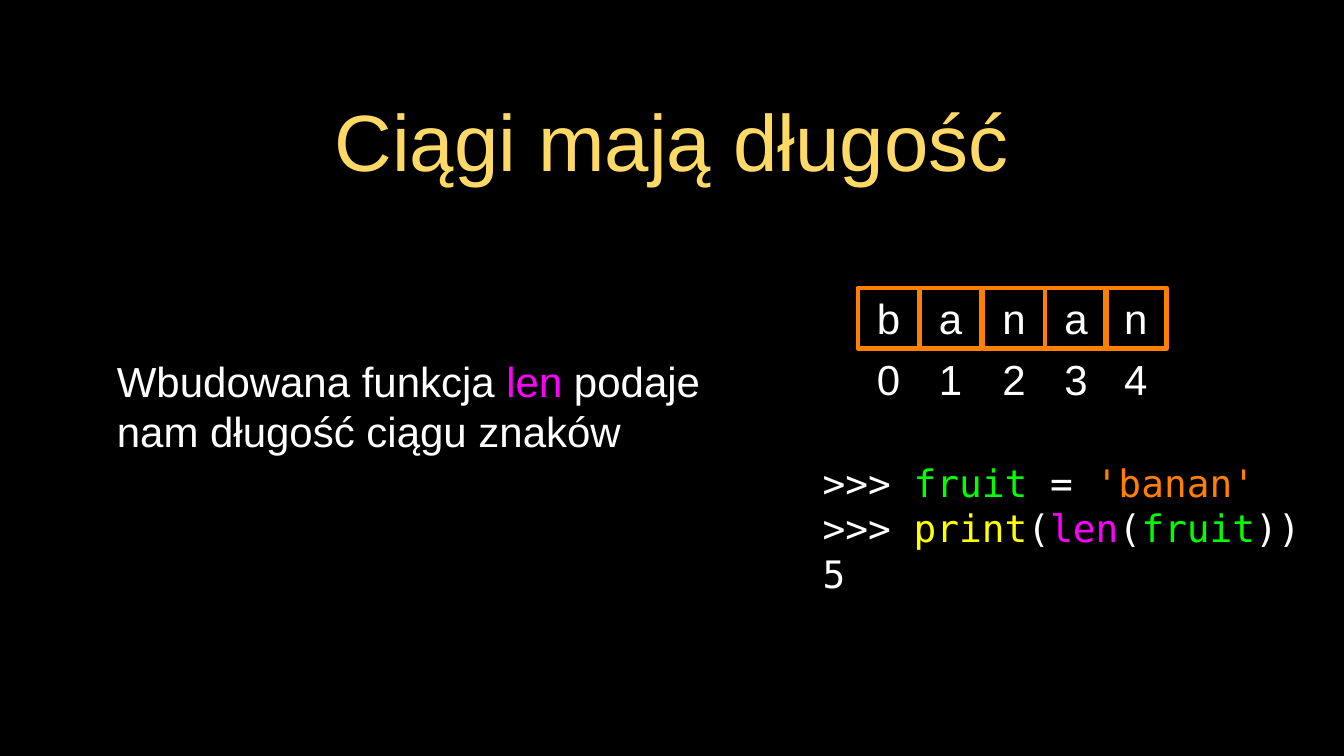
from pptx import Presentation
from pptx.dml.color import RGBColor
from pptx.enum.shapes import MSO_SHAPE
from pptx.enum.text import MSO_ANCHOR, MSO_AUTO_SIZE, PP_ALIGN
from pptx.oxml.ns import qn
from pptx.util import Pt
from lxml import etree

RECT = MSO_SHAPE.RECTANGLE
MIDDLE = MSO_ANCHOR.MIDDLE
FIXED = MSO_AUTO_SIZE.NONE
LEFT, CENTER = PP_ALIGN.LEFT, PP_ALIGN.CENTER

BLACK = RGBColor(0x00, 0x00, 0x00)
WHITE = RGBColor(0xFF, 0xFF, 0xFF)
GOLD = RGBColor(0xFF, 0xD9, 0x66)
PINK = RGBColor(0xFF, 0x00, 0xFF)
GREEN = RGBColor(0x00, 0xFF, 0x00)
YELLOW = RGBColor(0xFF, 0xFF, 0x00)
ORANGE = RGBColor(0xFF, 0x7F, 0x00)

SANS, MONO = "Arial", "DejaVu Sans Mono"


def place(shape, box):
    shape.left, shape.top, shape.width, shape.height = map(Pt, box)


def write(shape, lines, size, font=SANS, align=LEFT, inset=0):
    frame = shape.text_frame
    frame.word_wrap = True
    frame.auto_size = FIXED
    frame.vertical_anchor = MIDDLE
    frame.margin_left = frame.margin_right = Pt(inset)
    frame.margin_top = frame.margin_bottom = Pt(inset)
    for row, line in enumerate(lines):
        para = frame.add_paragraph() if row else frame.paragraphs[0]
        para.alignment = align
        para.space_before = Pt(0)
        for text, color in line:
            run = para.add_run()
            run.text = text
            run.font.name = font
            run.font.size = Pt(size)
            run.font.color.rgb = color


def add_title(slide, box):
    title = slide.shapes.title
    place(title, box)
    write(title, [[("Ciągi mają długość", GOLD)]], 76, align=CENTER, inset=3)


def add_body(slide, box):
    body = slide.placeholders[1]
    place(body, box)
    line = [("Wbudowana funkcja ", WHITE), ("len", PINK),
            (" podaje nam długość ciągu znaków", WHITE)]
    write(body, [line], 40, inset=3)
    props = body.text_frame.paragraphs[0]._p.get_or_add_pPr()
    props.set("marL", str(Pt(17.3)))
    props.set("indent", "0")
    etree.SubElement(props, qn("a:buNone"))


def add_code(slide, box):
    code = slide.shapes.add_textbox(*map(Pt, box))
    lines = [
        [(">>> ", WHITE), ("fruit", GREEN), (" = ", WHITE),
         ("'banan'", ORANGE)],
        [(">>> ", WHITE), ("print", YELLOW), ("(", WHITE), ("len", PINK),
         ("(", WHITE), ("fruit", GREEN), ("))", WHITE)],
        [("5", WHITE)],
    ]
    write(code, lines, 36, font=MONO)


def add_cells(slide, box, word, steps):
    left, top, side, high = box
    half = high / 2
    for index, (sign, step) in enumerate(zip(word, steps)):
        spot = left + step
        label = slide.shapes.add_textbox(
            Pt(spot), Pt(top + half), Pt(side), Pt(half))
        write(label, [[(str(index), WHITE)]], 40, align=CENTER)
        cell = slide.shapes.add_shape(
            RECT, Pt(spot), Pt(top), Pt(side), Pt(half))
        cell.shadow.inherit = False
        cell.fill.background()
        cell.line.color.rgb = ORANGE
        cell.line.width = Pt(4)
        write(cell, [[(sign, WHITE)]], 40, align=CENTER)


def main():
    deck = Presentation()
    deck.slide_width, deck.slide_height = Pt(1280), Pt(720)
    slide = deck.slides.add_slide(deck.slide_layouts[1])
    fill = slide.background.fill
    fill.solid()
    fill.fore_color.rgb = BLACK
    add_title(slide, (91, 65.5, 1097, 134.5))
    add_body(slide, (91, 205, 582, 363))
    add_code(slide, (783.5, 437, 496.5, 131))
    add_cells(slide, (817, 274, 58.5, 116), "banan", (0, 59, 119.5, 178.5, 235.5))
    deck.save("out.pptx")


if __name__ == "__main__":
    main()
